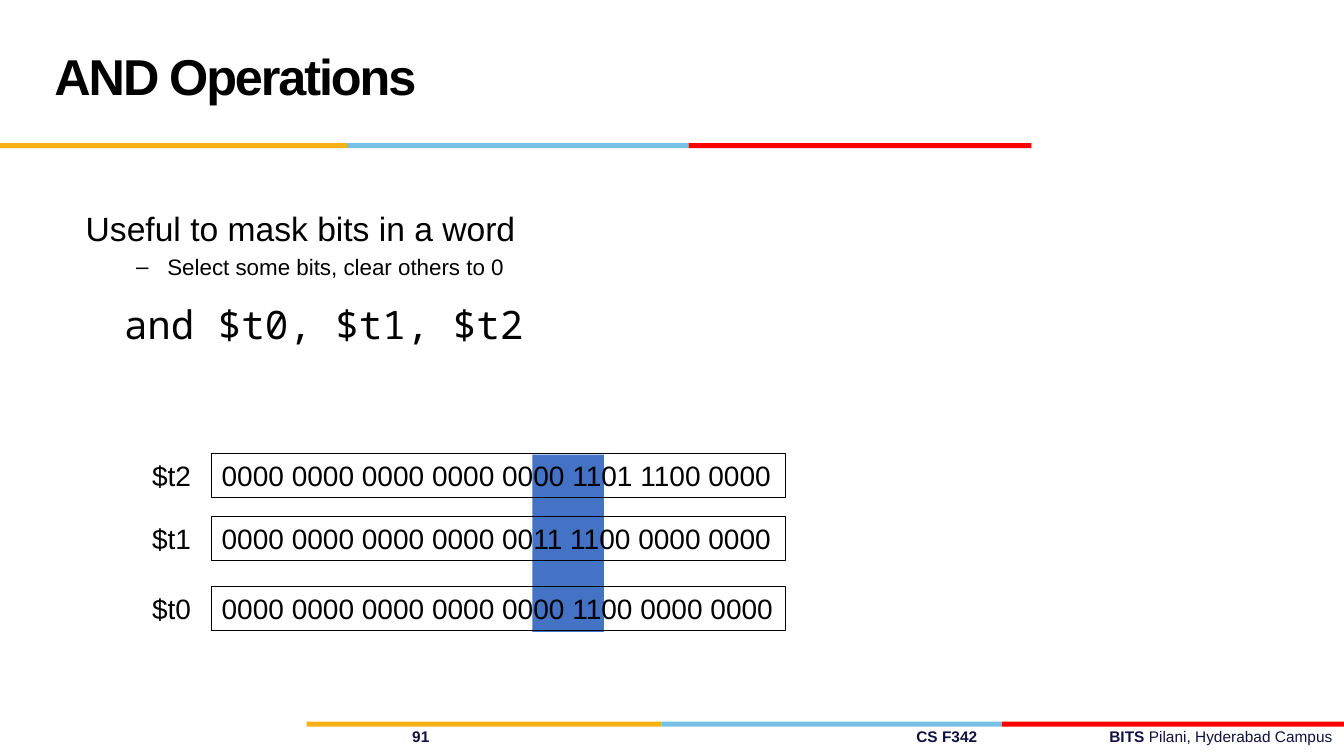
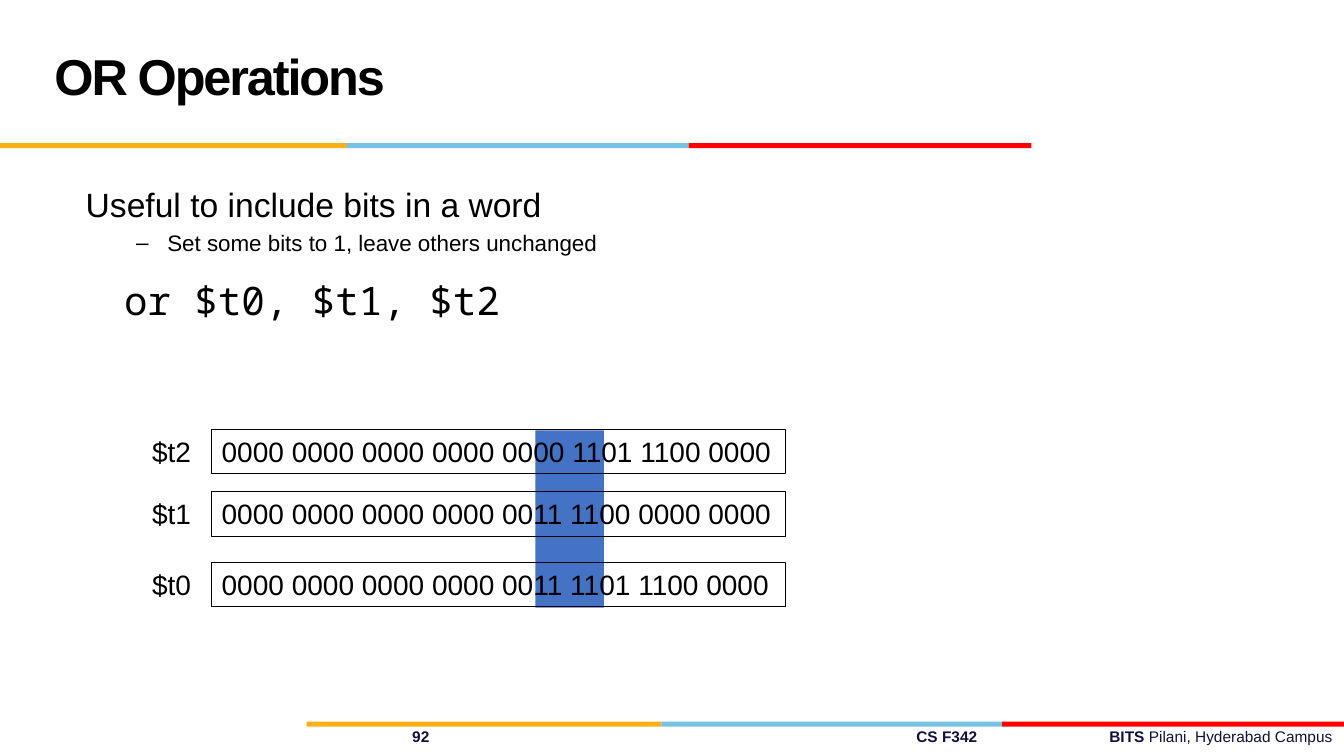
from lxml.etree import SubElement
from pptx import Presentation
from pptx.dml.color import RGBColor
from pptx.enum.shapes import MSO_SHAPE
from pptx.enum.text import MSO_ANCHOR, MSO_AUTO_SIZE, PP_ALIGN
from pptx.oxml.ns import qn
from pptx.util import Inches, Pt

COLORS = {"text": "000000", "footer": "101141", "gold": "FCB017",
          "sky": "76C2E5", "red": "FF0000", "mask": "4472C4"}
SANS, MONO = "Arial", "Noto Sans Mono"
HEADER_EDGES = (0, 3.44, 6.83, 10.23)
FOOTER_EDGES = (3.04, 6.56, 9.94, 13.33)
FOOTER_TABS = (("l", 3.77), ("l", 8.77), ("r", 12.9))
ROW_OFFSETS = (0, 0.62, 1.32)


class Deck:
    """Hold the shared style and the current slide."""

    def __init__(self, prs):
        self.prs = prs
        self.s = None

    def new_slide(self, title, number):
        self.s = self.prs.slides.add_slide(self.prs.slide_layouts[1])
        self.title(title)
        self.footer(number)
        self.bands(HEADER_EDGES, 1.42)
        self.bands(FOOTER_EDGES, 7.16)

    def place(self, sp, x, y, w, h):
        sp.left, sp.top, sp.width, sp.height = map(Inches, (x, y, w, h))
        tf = sp.text_frame
        tf.word_wrap = True
        tf.auto_size = MSO_AUTO_SIZE.NONE
        return tf

    def run(self, p, text, size, color="text", bold=False, font=SANS):
        r = p.add_run()
        r.text = text
        r.font.name, r.font.size, r.font.bold = font, Pt(size), bold
        r.font.color.rgb = RGBColor.from_string(COLORS[color])
        return r

    def title(self, text):
        tf = self.place(self.s.shapes.title, 0.44, 0.17, 9.22, 1.25)
        tf.vertical_anchor = MSO_ANCHOR.MIDDLE
        p = tf.paragraphs[0]
        p.alignment, p.line_spacing = PP_ALIGN.LEFT, Pt(36)
        r = self.run(p, text, 36, bold=True)
        r.font._element.set("spc", "-150")

    def footer(self, number):
        sp = self.s.shapes.add_textbox(0, 0, 0, 0)
        tf = self.place(sp, 0.22, 7.16, 13.11, 0.29)
        tf.margin_right = 0
        p = tf.paragraphs[0]
        tabs = SubElement(p._p.get_or_add_pPr(), qn("a:tabLst"))
        for align, pos in FOOTER_TABS:
            SubElement(tabs, qn("a:tab"), pos=str(Inches(pos)), algn=align)
        self.run(p, f"\t{number}\tCS F342\tBITS ", 11, "footer", True)
        self.run(p, "Pilani, Hyderabad Campus", 11, "footer")

    def rect(self, x, y, w, h, fill=None):
        sp = self.s.shapes.add_shape(MSO_SHAPE.RECTANGLE, *map(Inches, (x, y, w, h)))
        sp.shadow.inherit = False
        if fill:
            sp.fill.solid()
            sp.fill.fore_color.rgb = RGBColor.from_string(COLORS[fill])
            sp.line.fill.background()
        else:
            sp.fill.background()
            sp.line.color.rgb = RGBColor.from_string(COLORS["text"])
            sp.line.width = Pt(0.75)
        return sp

    def bands(self, edges, y):
        for left, right, color in zip(edges, edges[1:], ("gold", "sky", "red")):
            self.rect(left, y, right - left, 0.05, color)

    def body(self, y, lead, detail, code):
        tf = self.place(self.s.placeholders[1], 0.75, y, 9.05, 2.27)
        self.item(tf.paragraphs[0], lead, 24)
        self.item(tf.add_paragraph(), detail, 16, 1, 0.81, -0.31, 4, bullet="–")
        self.item(tf.add_paragraph(), code, 28, left=0.38, before=14, font=MONO)

    def item(self, p, text, size, level=0, left=0, indent=0, before=0,
             bullet=None, font=SANS):
        p.level = level
        pPr = p._p.get_or_add_pPr()
        pPr.set("marL", str(Inches(left)))
        pPr.set("indent", str(Inches(indent)))
        if bullet:
            SubElement(pPr, qn("a:buChar"), char=bullet)
        else:
            SubElement(pPr, qn("a:buNone"))
        p.space_before = Pt(before)
        self.run(p, text, size, font=font)

    def fitted_text(self, sp, text):
        tf = sp.text_frame
        tf.word_wrap = False
        tf.auto_size = MSO_AUTO_SIZE.SHAPE_TO_FIT_TEXT
        tf.vertical_anchor = MSO_ANCHOR.TOP
        p = tf.paragraphs[0]
        p.alignment = PP_ALIGN.LEFT
        self.run(p, text, 20)

    def registers(self, y, mask_left, rows):
        self.rect(mask_left, y + 0.01, 5.99 - mask_left, 1.76, "mask")
        for offset, (name, bits) in zip(ROW_OFFSETS, rows):
            top = y + offset
            self.fitted_text(self.rect(2.1, top, 5.69, 0.44), bits)
            label = self.s.shapes.add_textbox(
                *map(Inches, (1.41, top, 0.59, 0.43)))
            self.fitted_text(label, name)


def main():
    prs = Presentation()
    prs.slide_width, prs.slide_height = Inches(13.33), Inches(7.5)
    deck = Deck(prs)
    operands = [("$t2", "0000 0000 0000 0000 0000 1101 1100 0000"),
                ("$t1", "0000 0000 0000 0000 0011 1100 0000 0000")]
    slides = [
        ("AND Operations", 91, 2.01, "Useful to mask bits in a word",
         "Select some bits, clear others to 0", "and $t0, $t1, $t2",
         5.28, "0000 0000 0000 0000 0000 1100 0000 0000"),
        ("OR Operations", 92, 1.77, "Useful to include bits in a word",
         "Set some bits to 1, leave others unchanged", "or $t0, $t1, $t2",
         5.31, "0000 0000 0000 0000 0011 1101 1100 0000"),
    ]
    for title, number, top, lead, detail, code, mask_left, result in slides:
        deck.new_slide(title, number)
        deck.body(top, lead, detail, code)
        deck.registers(top + 2.49, mask_left, operands + [("$t0", result)])
    prs.save("out.pptx")


if __name__ == "__main__":
    main()
